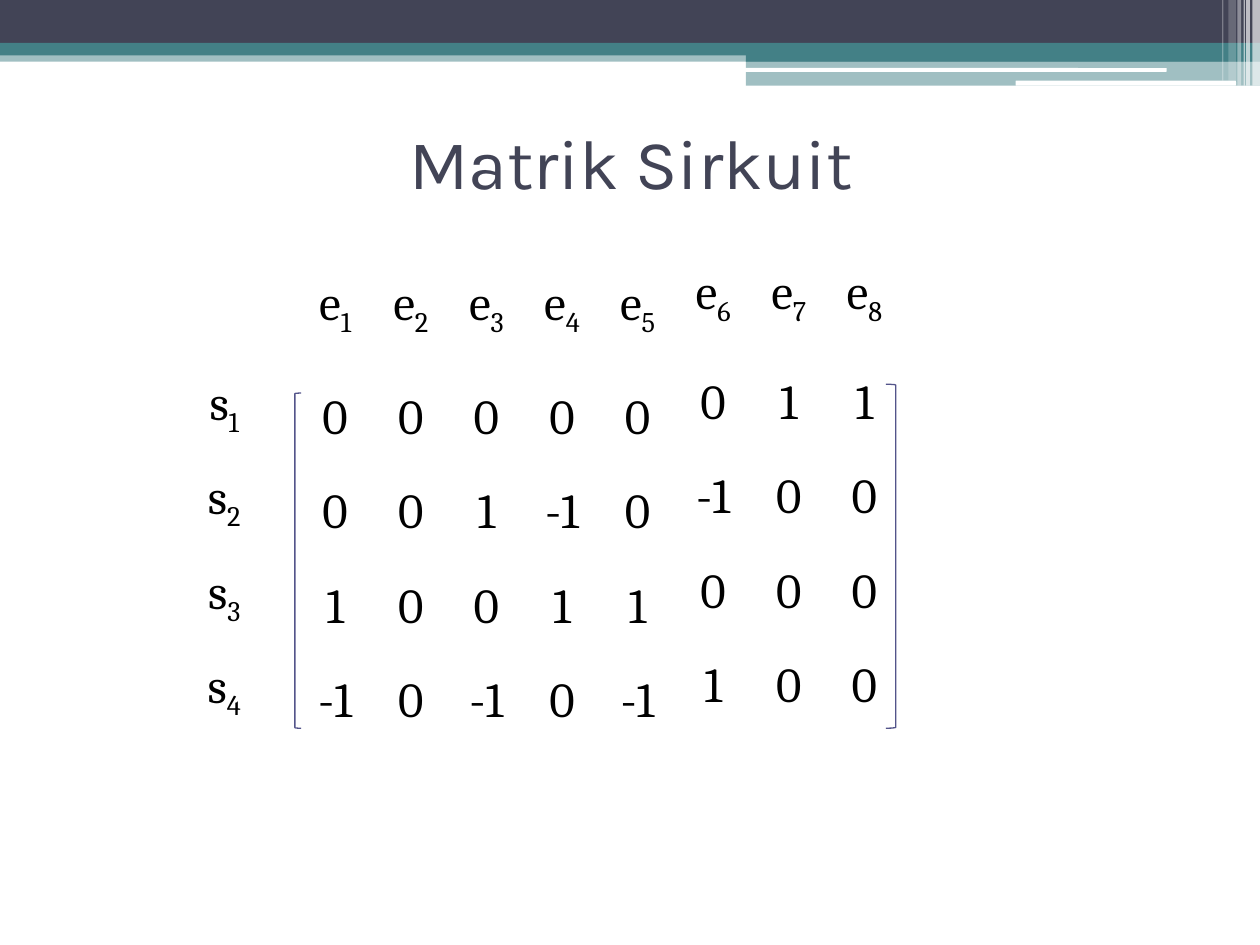
import lxml.etree
import pptx
import pptx.dml.color
import pptx.enum.shapes
import pptx.enum.text
import pptx.oxml.ns
import pptx.util

Inches = pptx.util.Inches
Pt = pptx.util.Pt
qn = pptx.oxml.ns.qn
Shape = pptx.enum.shapes.MSO_SHAPE
Anchor = pptx.enum.text.MSO_ANCHOR
CENTER = pptx.enum.text.PP_ALIGN.CENTER

NAVY, TEAL, WHITE, BLACK, VIOLET = "424456", "438086", "FFFFFF", "000000", "53548A"


def color(hex_string):
    return pptx.dml.color.RGBColor.from_string(hex_string)


class CircuitSlide:
    title_font, body_font = "Karla", "Cambria"

    def __init__(self, prs):
        self.slide = prs.slides.add_slide(prs.slide_layouts[5])

    def style(self, paragraph, font, size, ink):
        paragraph.alignment = CENTER
        paragraph.font.name = font
        paragraph.font.size = Pt(size)
        paragraph.font.color.rgb = color(ink)

    def title(self, text, left, top, width, height):
        title = self.slide.shapes.title
        title.left, title.top = Inches(left), Inches(top)
        title.width, title.height = Inches(width), Inches(height)
        frame = title.text_frame
        frame.text = text
        frame.vertical_anchor = Anchor.MIDDLE
        self.style(frame.paragraphs[0], self.title_font, 40, NAVY)

    def shape(self, kind, left, top, width, height):
        shape = self.slide.shapes.add_shape(
            kind, Inches(left), Inches(top), Inches(width), Inches(height))
        shape.shadow.inherit = False
        return shape

    def bar(self, left, top, width, height, fill, opacity=100, kind=Shape.RECTANGLE):
        bar = self.shape(kind, left, top, width, height)
        bar.fill.solid()
        bar.fill.fore_color.rgb = color(fill)
        bar.line.fill.background()
        if opacity < 100:
            tint = bar.fill._xPr.find(".//" + qn("a:srgbClr"))
            lxml.etree.SubElement(tint, qn("a:alpha"), val=str(opacity * 1000))

    def bracket(self, kind, left, top, width, height):
        bracket = self.shape(kind, left, top, width, height)
        bracket.fill.background()
        bracket.line.color.rgb = color(VIOLET)
        bracket.line.width = Pt(0.75)

    def cell(self, cell, text, anchor):
        """Fill one cell; a letter is followed by its index as a subscript."""
        cell.fill.background()
        cell.margin_left = cell.margin_right = Inches(0.07)
        cell.margin_top = cell.margin_bottom = 0
        cell.vertical_anchor = anchor
        paragraph = cell.text_frame.paragraphs[0]
        if not text:
            # a tiny end mark keeps the narrow spacer row from growing
            lxml.etree.SubElement(paragraph._p, qn("a:endParaRPr"), sz="100")
            return
        self.style(paragraph, self.body_font, 28, BLACK)
        paragraph.line_spacing = 1.15
        if text[0].isalpha():
            paragraph.add_run().text = text[0]
            index = paragraph.add_run()
            index.text = text[1:]
            index.font._element.set("baseline", "-25000")
        else:
            paragraph.add_run().text = text

    def table(self, rows, left, top, widths, heights, middle_columns):
        table = self.slide.shapes.add_table(
            len(rows), len(widths), Inches(left), Inches(top),
            Inches(sum(widths)), Inches(sum(heights))).table
        table.first_row = table.horz_banding = False
        for column, width in zip(table.columns, widths):
            column.width = Inches(width)
        for row, height in zip(table.rows, heights):
            row.height = Inches(height)
        for r, row in enumerate(rows):
            for c, text in enumerate(row):
                anchor = Anchor.MIDDLE if c in middle_columns else Anchor.TOP
                self.cell(table.cell(r, c), text, anchor)


def main():
    prs = pptx.Presentation()
    prs.slide_width, prs.slide_height = Inches(10), Inches(7.5)
    page = CircuitSlide(prs)

    page.bar(0, 0.4, 10, 0.09, TEAL, 50)
    page.bar(0, 0, 10, 0.34, NAVY)
    page.bar(0, 0.34, 10, 0.1, TEAL)
    page.bar(5.92, 0.39, 4.08, 0.1, TEAL)
    page.bar(5.92, 0.48, 4.08, 0.2, TEAL, 50)
    page.bar(5.91, 0.54, 3.35, 0.03, WHITE, kind=Shape.ROUNDED_RECTANGLE)
    page.bar(8.06, 0.64, 1.75, 0.04, WHITE, kind=Shape.ROUNDED_RECTANGLE)
    stripes = [(9.94, 0.06, 0.68, 65), (9.89, 0.03, 0.68, 65), (9.87, 0.01, 0.68, 60),
               (9.82, 0.03, 0.68, 40), (9.75, 0.06, 0.64, 20), (9.7, 0.01, 0.64, 30)]
    for left, width, height, opacity in stripes:
        page.bar(left, 0, width, height, WHITE, opacity)

    page.title("Matrik Sirkuit ", 2.03, 0.78, 6.09, 1.01)

    circuits = ["0 0 0 0 0 0 1 1",
                "0 0 1 -1 0 -1 0 0",
                "1 0 0 1 1 0 0 0",
                "-1 0 -1 0 -1 1 0 0"]
    edges = [f"e{n}" for n in range(1, 9)]
    rows = [["", "", *edges], [""] * 10]
    rows += [[f"s{n}", "", *values.split()] for n, values in enumerate(circuits, 1)]
    page.table(rows, 1.48, 2.03, [0.6, 0.28] + [0.6] * 8,
               [0.75, 0.13] + [0.75] * 4, middle_columns=range(2, 7))

    page.bracket(Shape.LEFT_BRACKET, 2.34, 3.12, 0.05, 2.66)
    page.bracket(Shape.RIGHT_BRACKET, 7.03, 3.05, 0.08, 2.73)
    prs.save("out.pptx")


if __name__ == "__main__":
    main()
